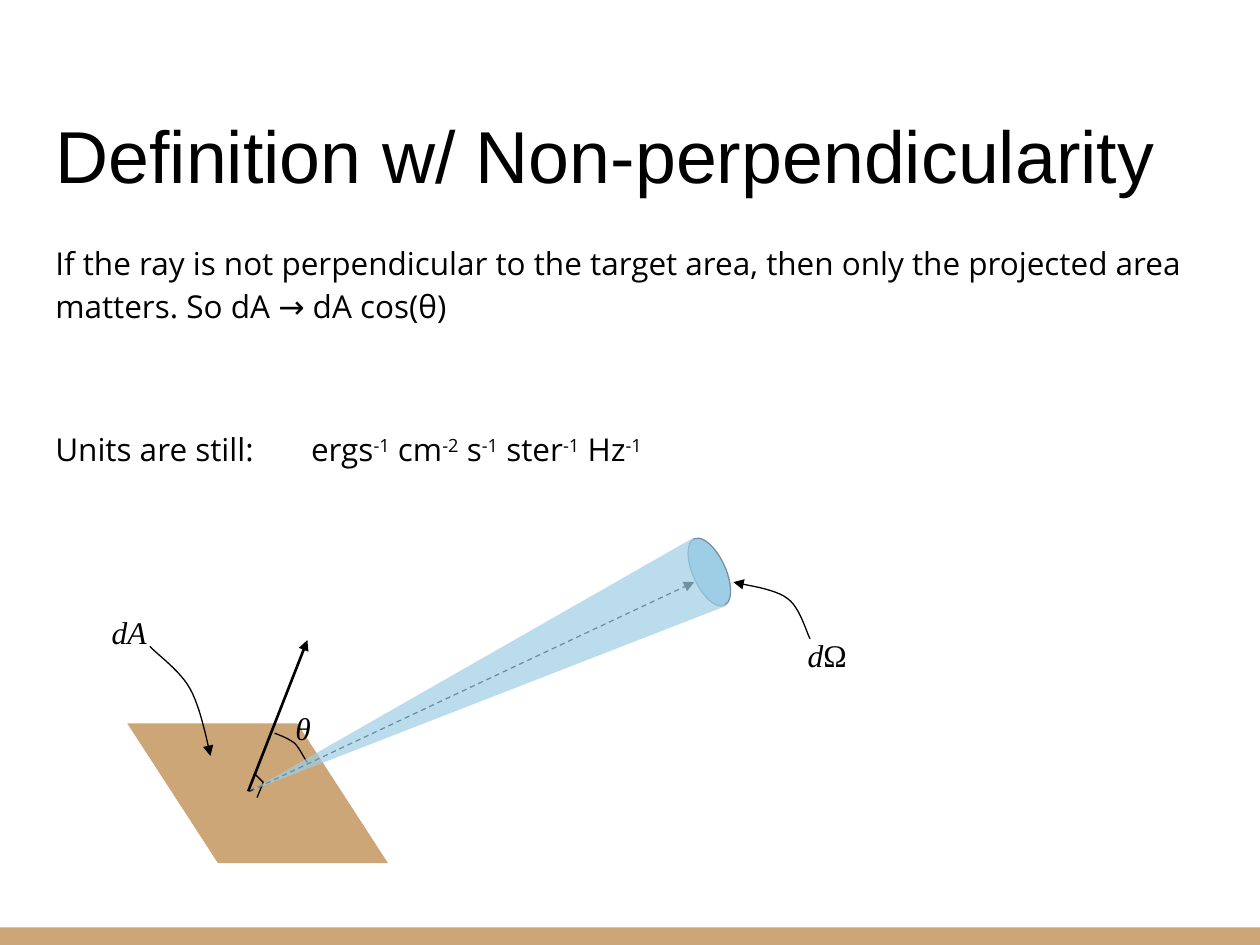
from pptx import Presentation
from pptx.dml.color import RGBColor
from pptx.enum.dml import MSO_LINE
from pptx.enum.shapes import MSO_CONNECTOR, MSO_SHAPE
from pptx.enum.text import MSO_ANCHOR, MSO_AUTO_SIZE, PP_ALIGN
from pptx.oxml.ns import qn
from pptx.util import Inches, Pt
from lxml.etree import SubElement

COLORS = {"ink": "000000", "tan": "CCA677", "sky": "9ECEE6", "slate": "78909C"}


def color(name):
    """Return the named colour."""
    return RGBColor.from_string(COLORS[name])


def style_font(font, name, size):
    """Set the family, size and ink colour of a font."""
    font.name, font.size = name, Pt(size)
    font.color.rgb = color("ink")


def set_frame(shape, anchor):
    """Wrap the text of a shape with even margins and return its frame."""
    frame = shape.text_frame
    frame.word_wrap, frame.auto_size = True, MSO_AUTO_SIZE.NONE
    frame.vertical_anchor = anchor
    frame.margin_left = frame.margin_right = Inches(0.1)
    frame.margin_top = frame.margin_bottom = Inches(0.1)
    return frame


def style_line(shape, width=0.75, head=None, tail=None):
    """Draw an ink line with optional arrowheads at its start and end."""
    shape.line.color.rgb = color("ink")
    shape.line.width = Pt(width)
    properties = shape.line._get_or_add_ln()
    for tag, kind in (("a:headEnd", head), ("a:tailEnd", tail)):
        if kind:
            SubElement(properties, qn(tag), type=kind)


def add_title(slide, text):
    """Place and format the title."""
    title = slide.shapes.title
    title.left, title.top = Inches(0.34), Inches(0.46)
    title.width, title.height = Inches(9.32), Inches(1.21)
    frame = set_frame(title, MSO_ANCHOR.BOTTOM)
    frame.text = text
    paragraph = frame.paragraphs[0]
    paragraph.alignment = PP_ALIGN.LEFT
    style_font(paragraph.font, "Arial", 42)


def add_body(slide):
    """Add the statement and the line of units."""
    box = slide.shapes.add_textbox(Inches(0.34), Inches(1.79), Inches(9.32), Inches(4.89))
    frame = set_frame(box, MSO_ANCHOR.TOP)
    statement, units = frame.paragraphs[0], frame.add_paragraph()
    statement.text = ("If the ray is not perpendicular to the target area, "
                      "then only the projected area matters. So dA → dA cos(θ)")
    units.add_run().text = "Units are still:\t"
    powers = (("ergs", -1), (" cm", -2), (" s", -1), (" ster", -1), (" Hz", -1))
    for unit, power in powers:
        units.add_run().text = unit
        exponent = units.add_run()
        exponent.text = str(power)
        exponent._r.get_or_add_rPr().set("baseline", "30000")
    units.space_before = Pt(57)
    for paragraph in frame.paragraphs:
        paragraph.line_spacing = 1.15
    tabs = SubElement(units._p.get_or_add_pPr(), qn("a:tabLst"))
    SubElement(tabs, qn("a:tab"), pos=str(Inches(2.03)), algn="l")
    for paragraph in frame.paragraphs:
        style_font(paragraph.font, "Open Sans", 18)


def add_label(slide, left, top, italic, upright=""):
    """Add a centred symbol, italic first and then upright."""
    box = slide.shapes.add_textbox(Inches(left), Inches(top), Inches(0.61), Inches(0.41))
    paragraph = set_frame(box, MSO_ANCHOR.MIDDLE).paragraphs[0]
    paragraph.alignment = PP_ALIGN.CENTER
    style_font(paragraph.font, "Times New Roman", 18)
    for text, slanted in ((italic, True), (upright, False)):
        if text:
            run = paragraph.add_run()
            run.text, run.font.italic = text, slanted


def add_filled(slide, kind, left, top, width, height, fill):
    """Add a preset shape with a plain fill and no outline."""
    shape = slide.shapes.add_shape(kind, Inches(left), Inches(top), Inches(width), Inches(height))
    shape.shadow.inherit = False
    shape.fill.solid()
    shape.fill.fore_color.rgb = color(fill)
    shape.line.fill.background()
    return shape


def add_line(slide, start, end, width=0.75, tail=None):
    """Add a straight line between two points."""
    ends = [Inches(value) for value in (*start, *end)]
    line = slide.shapes.add_connector(MSO_CONNECTOR.STRAIGHT, *ends)
    style_line(line, width, tail=tail)
    SubElement(line._element.spPr, qn("a:effectLst"))
    return line


def add_outline(slide, points, close):
    """Add a freeform through the points."""
    corners = [(Inches(x), Inches(y)) for x, y in points]
    builder = slide.shapes.build_freeform(*corners[0])
    builder.add_line_segments(corners[1:], close=close)
    shape = builder.convert_to_shape()
    shape.shadow.inherit = False
    return shape


def bezier(controls, share):
    """Return the point at a share of the way along a cubic curve."""
    weights = ((1 - share) ** 3, 3 * share * (1 - share) ** 2,
               3 * share ** 2 * (1 - share), share ** 3)
    return tuple(sum(weight * point[axis] for weight, point in zip(weights, controls))
                 for axis in (0, 1))


def add_curve(slide, controls, head=None, steps=12):
    """Add an open curve made of two cubic pieces."""
    points = [controls[0]]
    for first in (0, 3):
        piece = controls[first:first + 4]
        points += [bezier(piece, step / steps) for step in range(1, steps + 1)]
    curve = add_outline(slide, points, close=False)
    curve.fill.background()
    style_line(curve, head=head)


def add_cone(slide, points, fill, opacity):
    """Add the translucent cone of rays."""
    cone = add_outline(slide, points, close=True)
    cone.fill.solid()
    cone.fill.fore_color.rgb = color(fill)
    cone.line.fill.background()
    tint = cone._element.spPr.find(qn("a:solidFill"))[0]
    SubElement(tint, qn("a:alpha"), val=str(opacity * 1000))


def add_diagram(slide):
    """Draw the target area, its normal and the tilted ray."""
    area = add_filled(slide, MSO_SHAPE.PARALLELOGRAM, 1.01, 5.74, 2.07, 1.11, "tan")
    area.adjustments[0] = 0.649
    area._element.spPr.xfrm.set("flipH", "1")
    add_line(slide, (1.97, 6.28), (2.44, 5.08), 1.5, "triangle")
    add_line(slide, (2.02, 6.14), (2.09, 6.21))
    add_line(slide, (2.04, 6.33), (2.09, 6.21))
    add_curve(slide, [(1.67, 6), (1.65, 5.91), (1.59, 5.61), (1.51, 5.47),
                      (1.43, 5.32), (1.24, 5.19), (1.19, 5.13)], "triangle")
    add_label(slide, 0.72, 4.81, "dA")
    ray = add_line(slide, (1.98, 6.28), (5.51, 4.62), tail="triangle")
    ray.line.dash_style = MSO_LINE.DASH
    opening = add_filled(slide, MSO_SHAPE.OVAL, 5.5, 4.25, 0.26, 0.58, "sky")
    opening.rotation = 335.5
    opening.line.color.rgb = color("slate")
    opening.line.width = Pt(0.75)
    add_label(slide, 6.26, 4.99, "d", "Ω")
    add_curve(slide, [(5.82, 4.62), (5.89, 4.64), (6.15, 4.67), (6.25, 4.75),
                      (6.35, 4.82), (6.4, 5.02), (6.43, 5.07)], "triangle")
    add_curve(slide, [(2.18, 5.82), (2.21, 5.83), (2.29, 5.86), (2.34, 5.9),
                      (2.38, 5.94), (2.42, 6.03), (2.44, 6.05)])
    add_label(slide, 2.1, 5.57, "θ")
    add_cone(slide, [(5.5, 4.27), (1.98, 6.28), (5.76, 4.81)], "sky", 70)


def main():
    """Build and save the slide."""
    presentation = Presentation()
    presentation.slide_width, presentation.slide_height = Inches(10), Inches(7.5)
    slide = presentation.slides.add_slide(presentation.slide_layouts[5])
    add_filled(slide, MSO_SHAPE.RECTANGLE, 0, 7.36, 10, 0.14, "tan")
    add_title(slide, "Definition w/ Non-perpendicularity")
    add_body(slide)
    add_diagram(slide)
    presentation.save("out.pptx")


if __name__ == "__main__":
    main()
